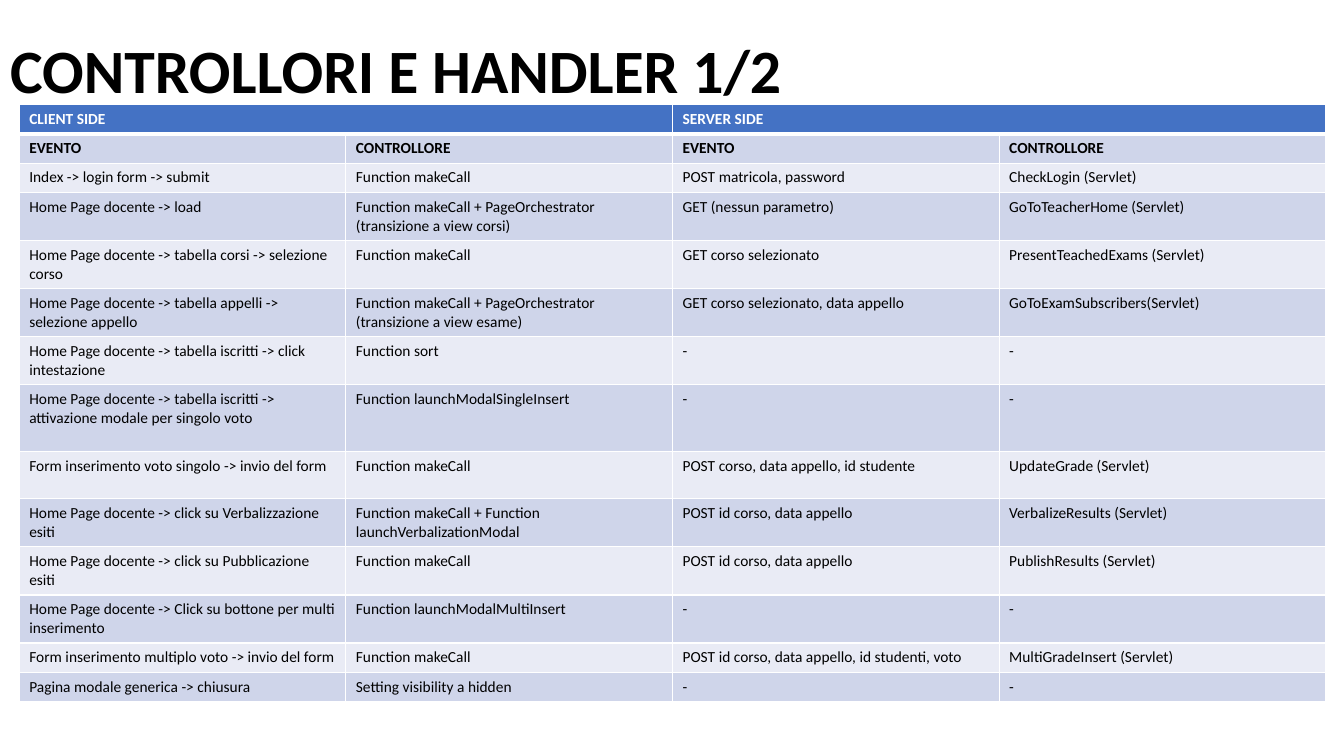
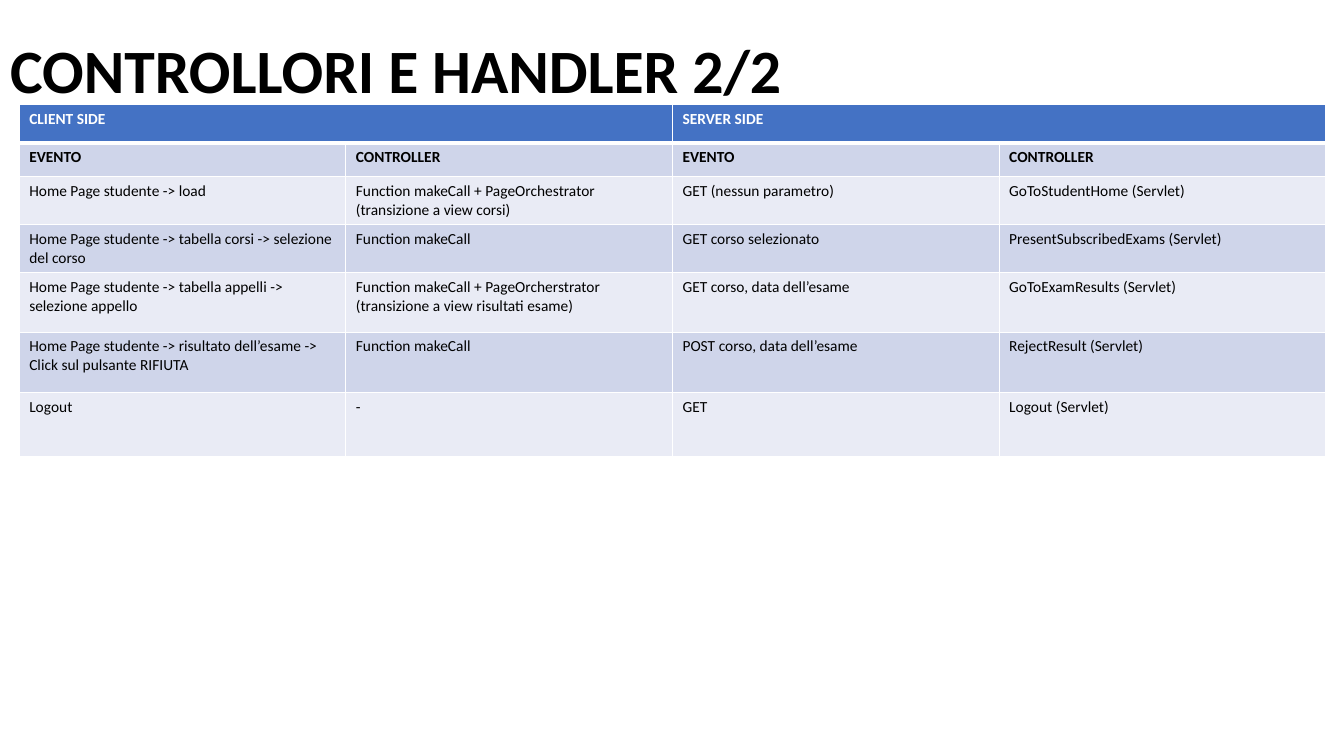
import pptx
import pptx.dml.color
import pptx.enum.text
import pptx.oxml
import pptx.oxml.ns
import pptx.util

# Shared style
WHITE = pptx.dml.color.RGBColor(0xFF, 0xFF, 0xFF)
BLACK = pptx.dml.color.RGBColor(0x00, 0x00, 0x00)
HEADER_BLUE = pptx.dml.color.RGBColor(0x44, 0x72, 0xC4)
BAND_DARK = pptx.dml.color.RGBColor(0xCF, 0xD5, 0xEA)
BAND_LIGHT = pptx.dml.color.RGBColor(0xE9, 0xEB, 0xF5)
FONT = "Calibri"

# Grid in inches: four columns after a margin, rows a tenth of an inch high
PAGE_WIDTH, PAGE_HEIGHT = 13.33, 7.5
MARGIN, COLUMN, ROW = 0.19, 3.24, 0.1
COLUMN_COUNT = 4
TITLE_ROWS, TABLE_TOP = 14.5, 10.4
ONE_LINE, TWO_LINES, THREE_LINES = 2.8, 4.7, 6.6

SIDES = ("CLIENT SIDE", "SERVER SIDE")
CALL = "Function makeCall"


def write_text(frame, text, size=11, color=BLACK, bold=False, spacing=None):
    """Fill a text frame, one paragraph for each line of the text."""
    for index, line in enumerate(text.split("\n")):
        para = frame.paragraphs[0] if index == 0 else frame.add_paragraph()
        para.alignment = pptx.enum.text.PP_ALIGN.LEFT
        if spacing:
            para.line_spacing = spacing
        span = para.add_run()
        span.text = line
        span.font.name = FONT
        span.font.size = pptx.util.Pt(size)
        span.font.bold = bold
        span.font.color.rgb = color


class HandlerDeck:
    """Holds the deck, its grid and the current page."""

    def __init__(self):
        self.deck = pptx.Presentation()
        self.deck.slide_width = pptx.util.Inches(PAGE_WIDTH)
        self.deck.slide_height = pptx.util.Inches(PAGE_HEIGHT)
        self.page = None

    def rows(self, count):
        return pptx.util.Inches(count * ROW)

    def columns(self, count):
        return pptx.util.Inches(count * COLUMN)

    def add_page(self, title):
        self.page = self.deck.slides.add_slide(self.deck.slide_layouts[5])
        box = self.page.shapes.title
        box.left = box.top = 0
        box.width, box.height = self.deck.slide_width, self.rows(TITLE_ROWS)
        frame = box.text_frame
        frame.word_wrap = True
        frame.auto_size = pptx.enum.text.MSO_AUTO_SIZE.NONE
        frame.vertical_anchor = pptx.enum.text.MSO_ANCHOR.MIDDLE
        write_text(frame, title, size=44, bold=True, spacing=0.9)

    def add_borders(self, cell, top=1, bottom=1):
        properties = cell._tc.get_or_add_tcPr()
        widths = {"lnL": 1, "lnR": 1, "lnT": top, "lnB": bottom}
        for tag, width in widths.items():
            properties.append(pptx.oxml.parse_xml(
                f'<a:{tag} {pptx.oxml.ns.nsdecls("a")} w="{pptx.util.Pt(width)}">'
                f'<a:solidFill><a:srgbClr val="{WHITE}"/></a:solidFill></a:{tag}>'))

    def add_cell(self, cell, text, fill, top=1, bottom=1, **text_format):
        self.add_borders(cell, top, bottom)
        cell.fill.solid()
        cell.fill.fore_color.rgb = fill
        if text:
            write_text(cell.text_frame, text, **text_format)

    def add_handlers(self, headings, handlers, heights):
        frame = self.page.shapes.add_table(
            len(heights), COLUMN_COUNT, pptx.util.Inches(MARGIN),
            self.rows(TABLE_TOP), self.columns(COLUMN_COUNT),
            self.rows(sum(heights)))
        table = frame.table
        for column in table.columns:
            column.width = self.columns(1)
        for row, height in zip(table.rows, heights):
            row.height = self.rows(height)

        # Side row: each heading spans two columns
        for column in range(COLUMN_COUNT):
            side, second = divmod(column, 2)
            if not second:
                table.cell(0, column).merge(table.cell(0, column + 1))
            self.add_cell(table.cell(0, column), "" if second else SIDES[side],
                          HEADER_BLUE, bottom=3, color=WHITE, bold=True)

        # Headings and handlers in alternating bands
        for number, texts in enumerate([headings * 2, *handlers], start=1):
            first = number == 1
            fill = BAND_DARK if number % 2 else BAND_LIGHT
            for column, text in enumerate(texts):
                self.add_cell(table.cell(number, column), text, fill,
                              top=3 if first else 1, bold=first)

    def save(self):
        self.deck.save("out.pptx")


TEACHER_HANDLERS = [
    ("Index -> login form -> submit", CALL,
     "POST matricola, password", "CheckLogin (Servlet)"),
    ("Home Page docente -> load",
     "Function makeCall + PageOrchestrator (transizione a view corsi)",
     "GET (nessun parametro)", "GoToTeacherHome (Servlet)"),
    ("Home Page docente -> tabella corsi -> selezione corso", CALL,
     "GET corso selezionato", "PresentTeachedExams (Servlet)"),
    ("Home Page docente -> tabella appelli -> selezione appello",
     "Function makeCall + PageOrchestrator (transizione a view esame)",
     "GET corso selezionato, data appello", "GoToExamSubscribers(Servlet)"),
    ("Home Page docente -> tabella iscritti -> click intestazione",
     "Function sort", "-", "-"),
    ("Home Page docente -> tabella iscritti ->\nattivazione modale per singolo voto",
     "Function launchModalSingleInsert", "-", "-"),
    ("Form inserimento voto singolo -> invio del form", CALL,
     "POST corso, data appello, id studente", "UpdateGrade (Servlet)"),
    ("Home Page docente -> click su Verbalizzazione esiti",
     "Function makeCall + Function launchVerbalizationModal",
     "POST id corso, data appello", "VerbalizeResults (Servlet)"),
    ("Home Page docente -> click su Pubblicazione esiti", CALL,
     "POST id corso, data appello", "PublishResults (Servlet)"),
    ("Home Page docente -> Click su bottone per multi inserimento",
     "Function launchModalMultiInsert", "-", "-"),
    ("Form inserimento multiplo voto -> invio del form", CALL,
     "POST id corso, data appello, id studenti, voto",
     "MultiGradeInsert (Servlet)"),
    ("Pagina modale generica -> chiusura", "Setting visibility a hidden",
     "-", "-"),
]
TEACHER_HEIGHTS = ([ONE_LINE] * 3 + [TWO_LINES] * 4 + [THREE_LINES]
                   + [TWO_LINES] * 4 + [ONE_LINE] * 2)

STUDENT_HANDLERS = [
    ("Home Page studente -> load",
     "Function makeCall + PageOrchestrator (transizione a view corsi)",
     "GET (nessun parametro)", "GoToStudentHome (Servlet)"),
    ("Home Page studente -> tabella corsi -> selezione del corso", CALL,
     "GET corso selezionato", "PresentSubscribedExams (Servlet)"),
    ("Home Page studente -> tabella appelli -> selezione appello",
     "Function makeCall + PageOrcherstrator (transizione a view risultati esame)",
     "GET corso, data dell’esame", "GoToExamResults (Servlet)"),
    ("Home Page studente -> risultato dell’esame ->\nClick sul pulsante RIFIUTA",
     CALL, "POST corso, data dell’esame", "RejectResult (Servlet)"),
    ("Logout", "-", "GET", "Logout (Servlet)"),
]
STUDENT_HEIGHTS = [3.8, 3.3, TWO_LINES, TWO_LINES, 5.9, 6, 6.4]


def main():
    deck = HandlerDeck()

    # Login and teacher events
    deck.add_page("CONTROLLORI E HANDLER 1/2")
    deck.add_handlers(("EVENTO", "CONTROLLORE"), TEACHER_HANDLERS, TEACHER_HEIGHTS)

    # Student events and logout
    deck.add_page("CONTROLLORI E HANDLER 2/2")
    deck.add_handlers(("EVENTO", "CONTROLLER"), STUDENT_HANDLERS, STUDENT_HEIGHTS)

    deck.save()


if __name__ == "__main__":
    main()
